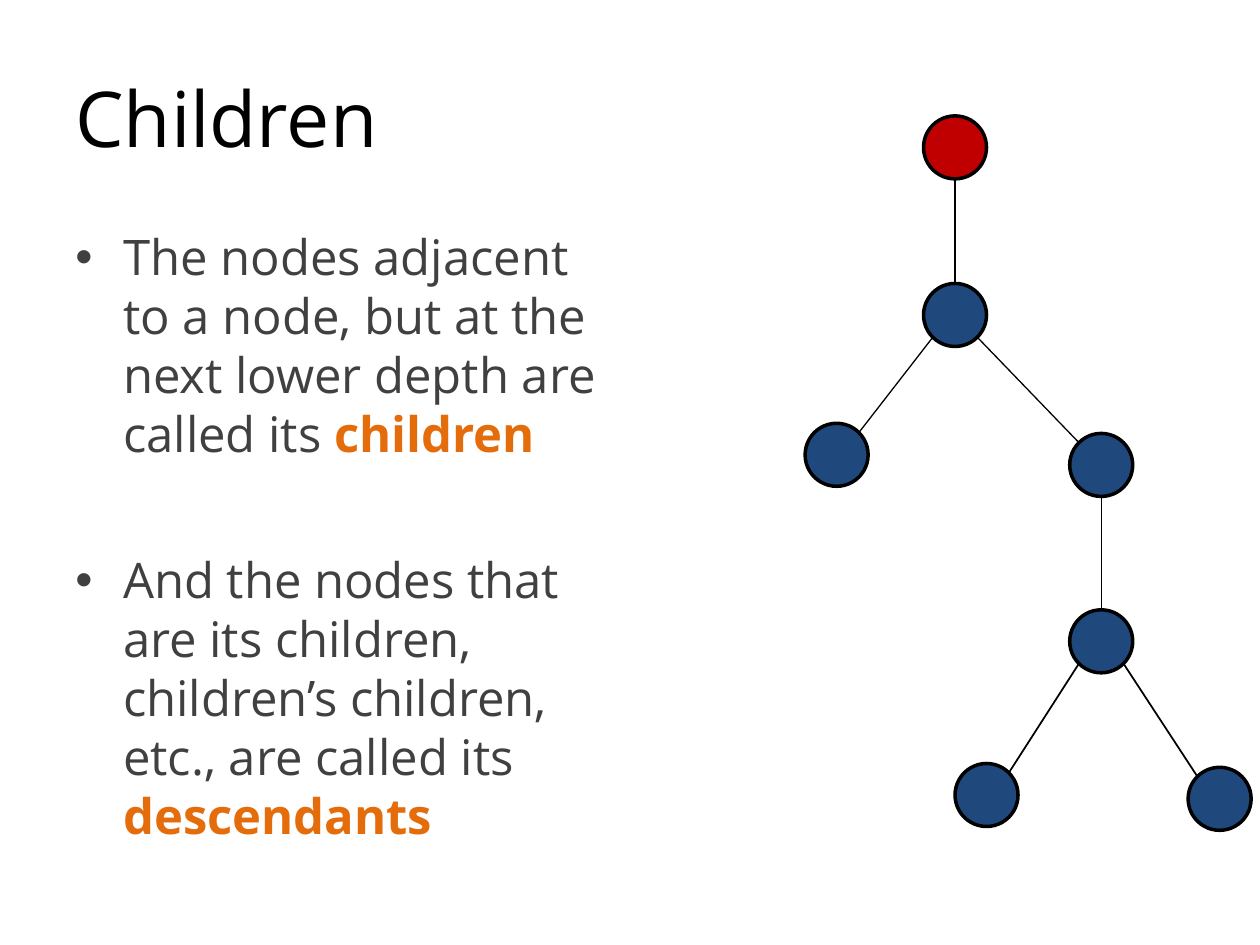
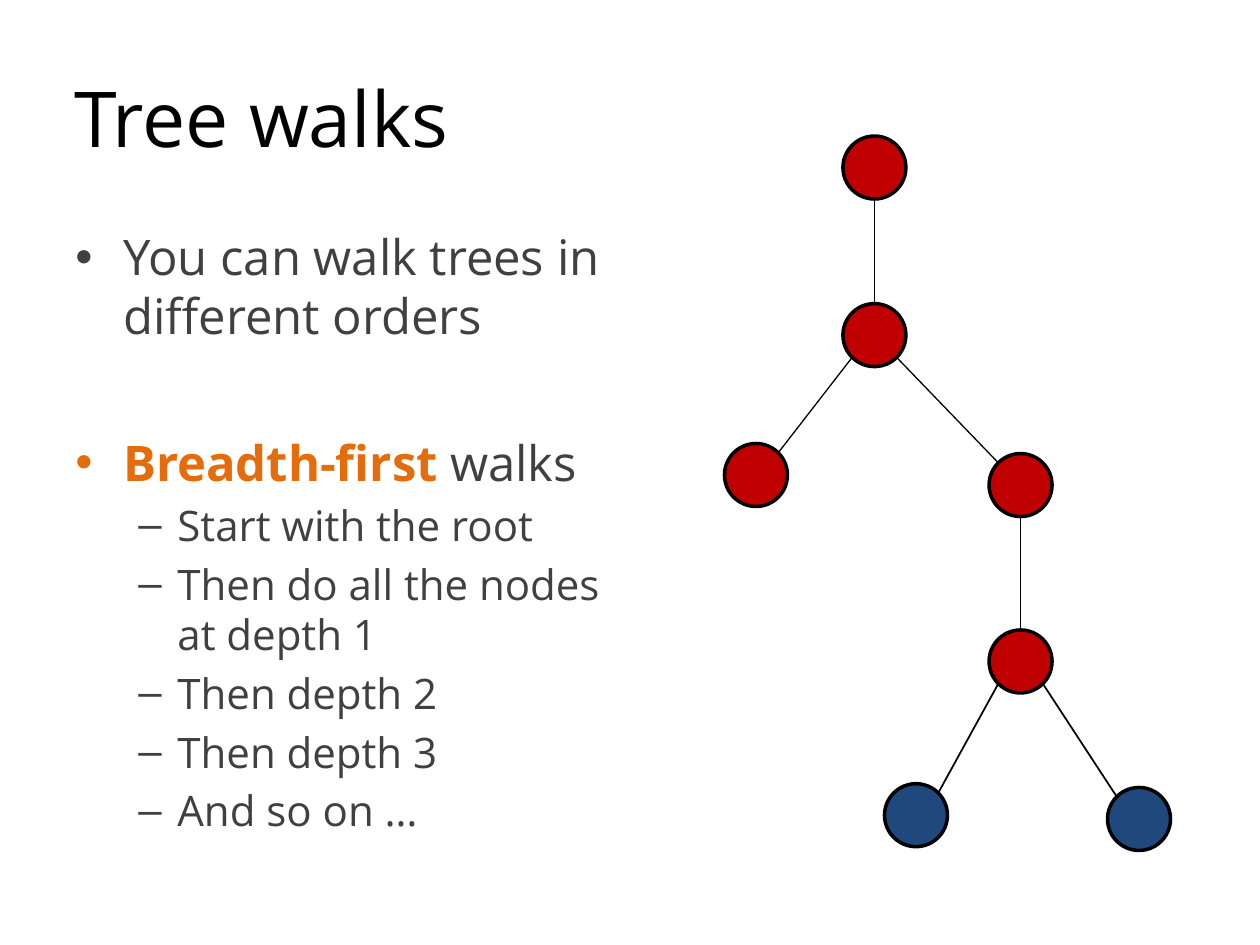
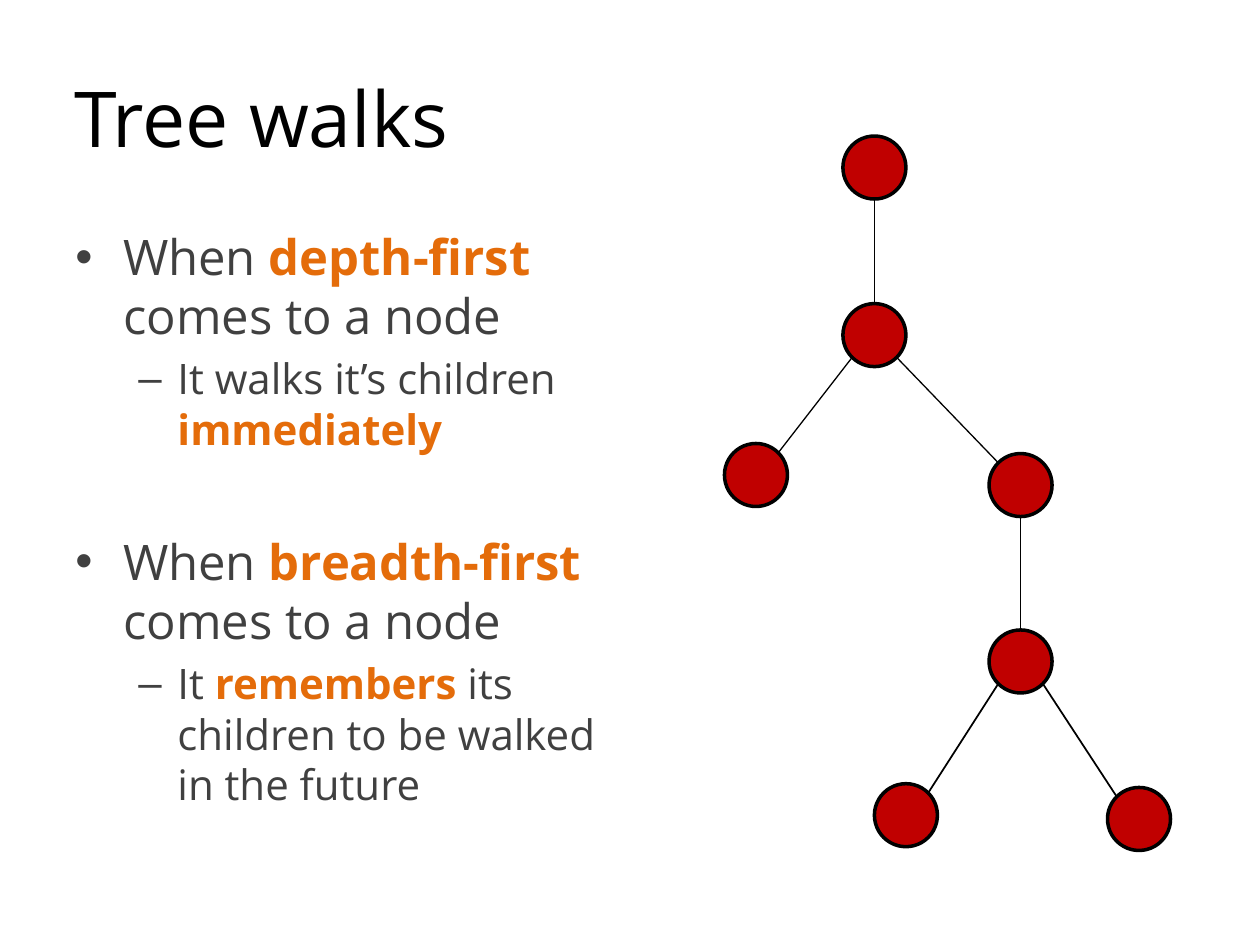
"""Build three slides about trees: children, and the orders of tree walks."""
from lxml import etree
from pptx import Presentation
from pptx.dml.color import RGBColor
from pptx.enum.shapes import MSO_CONNECTOR, MSO_SHAPE
from pptx.enum.text import MSO_ANCHOR
from pptx.oxml.ns import qn
from pptx.util import Inches, Pt

LINE = MSO_CONNECTOR.STRAIGHT
CIRCLE = MSO_SHAPE.OVAL
MIDDLE = MSO_ANCHOR.MIDDLE

FONT = "Open Sans"
COLORS = {"title": "000000", "text": "404040", "accent": "E46C0A",
          "outline": "000000", "visited": "C00000", "waiting": "1F497D"}
LEVELS = [
    {"bullet": "•", "size": 28, "margin": 0.38, "hang": 0.38, "space": 5.6},
    {"bullet": "–", "size": 24, "margin": 0.81, "hang": 0.31, "space": 4.8},
]
SECTION_GAP = {28: 44.5, 24: 39}

NODE_SIZE = 0.5
NODES = {"root": (0, 0), "trunk": (0, 1.33), "left": (-0.94, 2.44),
         "right": (1.16, 2.52), "fork": (1.16, 3.92),
         "left leaf": (0.25, 5.14), "right leaf": (2.1, 5.17)}
EDGES = [("root", "trunk", 0.75), ("trunk", "left", 0.75), ("trunk", "right", 0.75),
         ("right", "fork", 0.75), ("fork", "left leaf", 1), ("fork", "right leaf", 1)]
LEAVES = {"left leaf", "right leaf"}

# Each paragraph: level, section size before it (or None), text with *accents*.
SLIDES = [
    {"title": "Children", "title_left": 0.5, "body_height": 5.75,
     "root": (7.33, 0.92), "visited": {"root"}, "moved": {},
     "body": [
         (0, None, "The nodes adjacent to a node, but at the next lower depth "
                   "are called its *children*"),
         (0, 28, "And the nodes that are its children, children’s children, etc., "
                 "are called its *descendants*")]},
    {"title": "Tree walks", "title_left": 0.49, "body_height": 5.25,
     "root": (6.69, 1.08), "visited": set(NODES) - LEAVES,
     "moved": {"left leaf": (0.33, 5.14)},
     "body": [
         (0, None, "You can walk trees in different orders"),
         (0, 28, "*Breadth-first* walks"),
         (1, None, "Start with the root"),
         (1, None, "Then do all the nodes at depth 1"),
         (1, None, "Then depth 2"),
         (1, None, "Then depth 3"),
         (1, None, "And so on …")]},
    {"title": "Tree walks", "title_left": 0.49, "body_height": 4.95,
     "root": (6.69, 1.08), "visited": set(NODES), "moved": {},
     "body": [
         (0, None, "When *depth-first *comes to a node"),
         (1, None, "It walks it’s children *immediately*"),
         (0, 24, "When *breadth-first *comes to a node"),
         (1, None, "It *remembers *its children to be walked in the future")]},
]


def color(name):
    return RGBColor.from_string(COLORS[name])


def add_text_frame(page, left, top, width, height):
    box = page.shapes.add_textbox(Inches(left), Inches(top), Inches(width), Inches(height))
    box.text_frame.word_wrap = True
    return box.text_frame


def add_title(page, text, left):
    frame = add_text_frame(page, left, 0.3, 9, 1.25)
    frame.vertical_anchor = MIDDLE
    para = frame.paragraphs[0]
    para.text = text
    para.font.name, para.font.size = FONT, Pt(44)
    para.font.color.rgb = color("title")


def add_bullet(para, level):
    properties = para._p.get_or_add_pPr()
    properties.set("marL", str(Inches(level["margin"])))
    properties.set("indent", str(-Inches(level["hang"])))
    etree.SubElement(properties, qn("a:buFont"), typeface="Arial")
    etree.SubElement(properties, qn("a:buChar"), char=level["bullet"])


def add_body(page, paragraphs, height):
    frame = add_text_frame(page, 0.5, 1.75, 4.42, height)
    for index, (depth, section, text) in enumerate(paragraphs):
        para = frame.add_paragraph() if index else frame.paragraphs[0]
        level = LEVELS[depth]
        add_bullet(para, level)
        para.level = depth
        para.space_before = Pt(level["space"] + SECTION_GAP.get(section, 0))
        para.font.name, para.font.size = FONT, Pt(level["size"])
        for position, part in enumerate(text.split("*")):
            if part:
                accented = position % 2 == 1
                span = para.add_run()
                span.text = part
                span.font.bold = accented
                span.font.color.rgb = color("accent" if accented else "text")


def add_node(page, left, top, fill):
    node = page.shapes.add_shape(CIRCLE, Inches(left), Inches(top),
                                 Inches(NODE_SIZE), Inches(NODE_SIZE))
    node.shadow.inherit = False
    node.fill.solid()
    node.fill.fore_color.rgb = color(fill)
    node.line.color.rgb = color("outline")
    node.line.width = Pt(2)


def add_edge(page, parent, child, width):
    """Join the facing rims of two nodes, at the bottom or at 45 degrees."""
    radius = NODE_SIZE / 2
    side = (child[0] > parent[0]) - (child[0] < parent[0])
    reach = radius * 0.5 ** 0.5 if side else radius
    (x1, y1), (x2, y2) = [(x + radius, y + radius) for x, y in (parent, child)]
    edge = page.shapes.add_connector(
        LINE, Inches(x1 + side * reach), Inches(y1 + reach),
        Inches(x2 - side * reach), Inches(y2 - reach))
    edge.line.color.rgb = color("outline")
    edge.line.width = Pt(width)
    etree.SubElement(edge._element.spPr, qn("a:effectLst"))


def add_tree(page, root, visited, moved):
    places = {name: (root[0] + x, root[1] + y) for name, (x, y) in {**NODES, **moved}.items()}
    for name, place in places.items():
        add_node(page, *place, "visited" if name in visited else "waiting")
    for parent, child, width in EDGES:
        add_edge(page, places[parent], places[child], width)


def main():
    deck = Presentation()
    deck.slide_width, deck.slide_height = Inches(10), Inches(7.5)
    for content in SLIDES:
        page = deck.slides.add_slide(deck.slide_layouts[6])
        add_title(page, content["title"], content["title_left"])
        add_body(page, content["body"], content["body_height"])
        add_tree(page, content["root"], content["visited"], content["moved"])
    deck.save("out.pptx")


if __name__ == "__main__":
    main()
